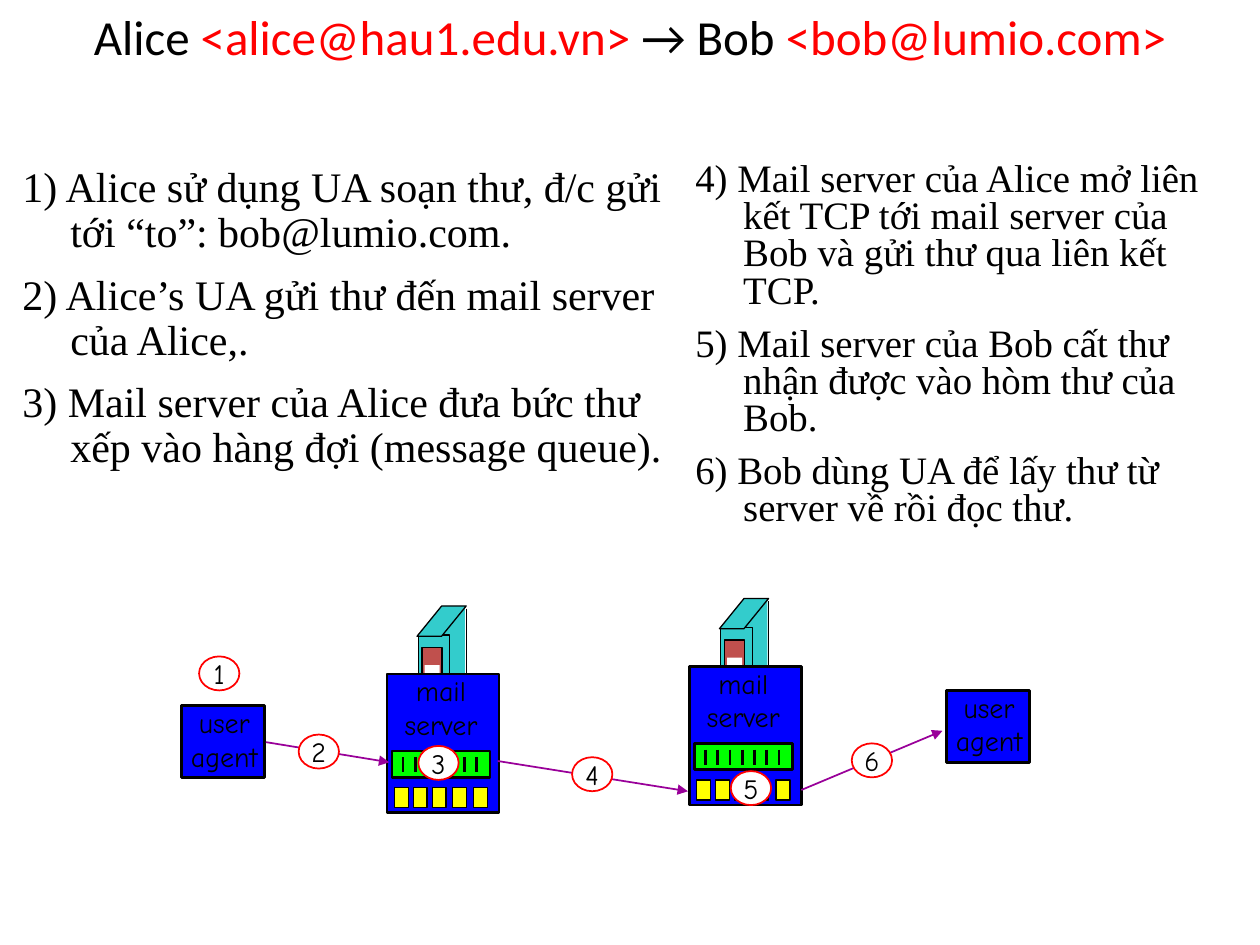
"""Build a slide that follows an e-mail from Alice to Bob in six numbered steps."""
from typing import NamedTuple, Optional

from lxml.etree import SubElement
from pptx import Presentation
from pptx.dml.color import RGBColor
from pptx.enum.shapes import MSO_CONNECTOR as Connector, MSO_SHAPE as Preset
from pptx.enum.text import MSO_ANCHOR as Anchor, MSO_AUTO_SIZE as AutoSize, PP_ALIGN as Align
from pptx.oxml.ns import qn
from pptx.util import Inches, Pt

BLACK = RGBColor(0x00, 0x00, 0x00)
WHITE = RGBColor(0xFF, 0xFF, 0xFF)
RED = RGBColor(0xFF, 0x00, 0x00)
BLUE = RGBColor(0x00, 0x00, 0xFF)
GREEN = RGBColor(0x00, 0xFF, 0x00)
YELLOW = RGBColor(0xFF, 0xFF, 0x00)
TEAL = RGBColor(0x33, 0xCC, 0xCC)
BRICK = RGBColor(0xC0, 0x50, 0x4D)
PURPLE = RGBColor(0x99, 0x00, 0x99)
LABEL_FONT = "Comic Neue"


class Box(NamedTuple):
    left: float
    top: float
    width: float
    height: float

    def moved(self, x: float, y: float) -> "Box":
        return Box(self.left + x, self.top + y, self.width, self.height)

    def lengths(self) -> list:
        return [Inches(value) for value in self]


class Part(NamedTuple):
    box: Box
    fill: RGBColor
    line_width: float = 0
    preset: Preset = Preset.RECTANGLE


class Column(NamedTuple):
    box: Box
    size: float
    spacing: float
    steps: list


class Arrow(NamedTuple):
    start: tuple
    end: tuple


TITLE_RUNS = [
    ("Alice ", BLACK),
    ("<alice@hau1.edu.vn> ", RED),
    ("→ Bob ", BLACK),
    ("<bob@lumio.com>", RED),
]
COLUMNS = [
    Column(Box(0.08, 1.27, 5.33, 3.15), 24, 0.9, [
        "1) Alice sử dụng UA soạn thư, đ/c gửi tới “to”: bob@lumio.com.",
        "2) Alice’s UA gửi thư đến mail server của Alice,.",
        "3) Mail server của Alice đưa bức thư xếp vào hàng đợi (message queue).",
    ]),
    Column(Box(5.42, 1.24, 4.42, 3.09), 22.2, 0.8, [
        "4) Mail server của Alice mở liên kết TCP tới mail server của Bob và gửi thư qua liên kết TCP.",
        "5) Mail server của Bob cất thư nhận được vào hòm thư của Bob.",
        "6) Bob dùng UA để lấy thư từ server về rồi đọc thư.",
    ]),
]
TOWER_BACK = Part(Box(0.44, 0.01, 0.18, 0.78), TEAL)
TOWER_PARTS = [
    Part(Box(0.25, 0.23, 0.25, 0.78), TEAL, 0.75),
    Part(Box(0.24, 0, 0.39, 0.24), TEAL, 0.75, Preset.PARALLELOGRAM),
    Part(Box(0.28, 0.33, 0.16, 0.45), BRICK, 0.75),
    Part(Box(0.3, 0.47, 0.12, 0.16), WHITE),
    Part(Box(0, 0.54, 0.89, 1.1), BLUE, 1.5),
    Part(Box(0.04, 1.15, 0.78, 0.21), GREEN, 1.5),
]
MAILBOX_OFFSETS = [0.06, 0.21, 0.36, 0.52, 0.69]
SERVERS = [(3.07, 4.81), (5.47, 4.75)]
AGENTS = [(1.44, 5.6), (7.51, 5.48)]
ARROWS = [
    Arrow((2.11, 5.89), (3.09, 6.05)),
    Arrow((3.95, 6.04), (5.46, 6.28)),
    Arrow((6.36, 6.27), (7.48, 5.8)),
]
STEP_MARKS = [(1.58, 5.21), (2.37, 5.83), (3.32, 5.92), (4.54, 6.01), (5.8, 6.12), (6.76, 5.9)]


def style_run(run, font: str, size: float, color: RGBColor) -> None:
    run.font.name = font
    run.font.size = Pt(size)
    run.font.color.rgb = color


def add_part(slide, part: Part, x: float = 0, y: float = 0, line_color: RGBColor = BLACK):
    shape = slide.shapes.add_shape(part.preset, *part.box.moved(x, y).lengths())
    shape.shadow.inherit = False
    shape.fill.solid()
    shape.fill.fore_color.rgb = part.fill
    if part.line_width:
        shape.line.color.rgb = line_color
        shape.line.width = Pt(part.line_width)
    else:
        shape.line.fill.background()
    if part.preset == Preset.PARALLELOGRAM:
        shape.adjustments[0] = 0.814
    return shape


def add_line(slide, start: tuple, end: tuple, color: RGBColor, width: float,
             arrowhead: Optional[str] = None) -> None:
    points = [Inches(value) for value in (*start, *end)]
    line = slide.shapes.add_connector(Connector.STRAIGHT, *points)
    line.line.color.rgb = color
    line.line.width = Pt(width)
    properties = line._element.spPr
    if arrowhead:
        SubElement(properties.find(qn("a:ln")), qn("a:tailEnd"), type=arrowhead)
    SubElement(properties, qn("a:effectLst"))


def write_label(shape, text: str) -> None:
    shape.text_frame.word_wrap = False
    shape.text_frame.text = text
    for paragraph in shape.text_frame.paragraphs:
        paragraph.alignment = Align.CENTER
        style_run(paragraph.runs[0], LABEL_FONT, 16, BLACK)


def add_label(slide, box: Box, text: str) -> None:
    write_label(slide.shapes.add_textbox(*box.lengths()), text)


def add_title(slide) -> None:
    title = slide.shapes.title
    title.left, title.top, title.width, title.height = Box(0, 0, 10, 1).lengths()
    frame = title.text_frame
    frame.auto_size = AutoSize.NONE
    frame.vertical_anchor = Anchor.TOP
    paragraph = frame.paragraphs[0]
    paragraph.alignment = Align.CENTER
    for text, color in TITLE_RUNS:
        run = paragraph.add_run()
        run.text = text
        style_run(run, "Calibri", 28, color)


def add_column(slide, column: Column) -> None:
    frame = slide.shapes.add_textbox(*column.box.lengths()).text_frame
    frame.word_wrap = True
    frame.text = "\n".join(column.steps)
    for index, paragraph in enumerate(frame.paragraphs):
        properties = paragraph._p.get_or_add_pPr()
        properties.set("marL", str(Inches(0.38)))
        properties.set("indent", str(-Inches(0.38)))
        paragraph.line_spacing = column.spacing
        paragraph.space_before = Pt(column.size * 0.4 if index else 0)
        style_run(paragraph.runs[0], "Times New Roman", column.size, BLACK)


def add_server(slide, x: float, y: float) -> None:
    add_part(slide, TOWER_BACK, x, y)
    add_line(slide, (x + 0.63, y + 0.02), (x + 0.63, y + 0.78), BLACK, 0.75)
    for part in TOWER_PARTS:
        add_part(slide, part, x, y)
    add_label(slide, Box(x - 0.01, y + 0.49, 0.88, 0.64), "mail\nserver")
    for index in range(7):
        tick = x + 0.13 + index * 0.097
        add_line(slide, (tick, y + 1.2), (tick, y + 1.32), BLACK, 1.5)
    for offset in MAILBOX_OFFSETS:
        add_part(slide, Part(Box(offset, 1.44, 0.11, 0.16), YELLOW, 0.75), x, y)


def add_agent(slide, x: float, y: float) -> None:
    add_part(slide, Part(Box(x, y, 0.66, 0.57), BLUE, 1.5))
    add_label(slide, Box(x - 0.05, y - 0.05, 0.78, 0.64), "user\nagent")


def add_step_mark(slide, number: int, x: float, y: float) -> None:
    mark = Part(Box(x, y, 0.32, 0.27), WHITE, 1, Preset.OVAL)
    shape = add_part(slide, mark, line_color=RED)
    shape.text_frame.vertical_anchor = Anchor.MIDDLE
    write_label(shape, str(number))


def main() -> None:
    presentation = Presentation()
    presentation.slide_width, presentation.slide_height = Inches(10), Inches(7.5)
    slide = presentation.slides.add_slide(presentation.slide_layouts[5])
    add_title(slide)
    for column in COLUMNS:
        add_column(slide, column)
    for position in SERVERS:
        add_server(slide, *position)
    for position in AGENTS:
        add_agent(slide, *position)
    for arrow in ARROWS:
        add_line(slide, arrow.start, arrow.end, PURPLE, 1, "triangle")
    for number, position in enumerate(STEP_MARKS, start=1):
        add_step_mark(slide, number, *position)
    presentation.save("out.pptx")


if __name__ == "__main__":
    main()
